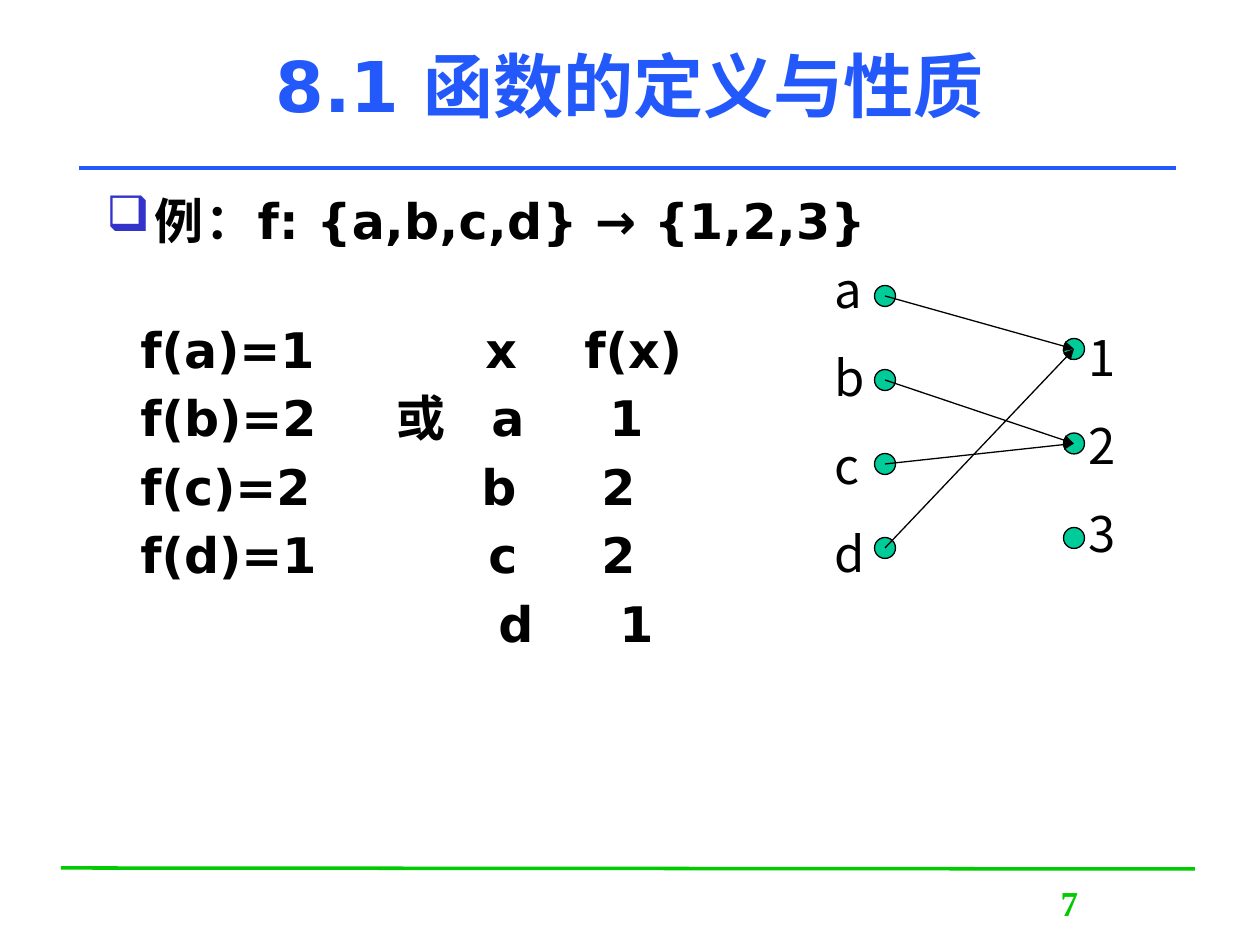
from lxml.etree import SubElement
from pptx import Presentation
from pptx.dml.color import RGBColor
from pptx.enum.shapes import MSO_CONNECTOR, MSO_SHAPE
from pptx.enum.text import MSO_ANCHOR, PP_ALIGN
from pptx.oxml.ns import qn
from pptx.util import Emu, Pt

EMU_PER_PX = 914400 / 126
COLORS = {"blue": "2359FB", "green": "00CB00", "bullet": "3333CC",
          "dot": "00CC99", "black": "000000"}

TITLE = "8.1 函数的定义与性质"
# Text and letter spacing in hundredths of a point
EXAMPLE = [("例：", 150), ("f: {a,b,c,d} → {1,2,3}", 25)]
# Each row: (text, distance from the left edge of the body text)
ROWS = [
    [("f(a)=1", 34), ("x", 379), ("f(x)", 478)],
    [("f(b)=2", 34), ("或", 290), ("a", 385), ("1", 503)],
    [("f(c)=2", 34), ("b", 375), ("2", 495)],
    [("f(d)=1", 34), ("c", 382), ("2", 495)],
    [("d", 392), ("1", 513)],
]
RULES = [("green", 61, 868, 1195, 869), ("blue", 79, 168, 1176, 168)]

# Mapping diagram: names, centre x, first centre y, pitch, label box
DOMAIN = ("abcd", 885, 296, 84, (822, 224, 50, 367))
CODOMAIN = ("123", 1074, 349, 94.5, (1076, 292, 50, 277))
ARROWS = ["a1", "d1", "b2", "c2"]
DOT = 21

BODY_FONT = dict(name="DejaVu Sans", size=Pt(28), bold=True)
TITLE_FONT = dict(name="DejaVu Sans", size=Pt(40), bold=True)
LABEL_FONT = dict(name="Noto Sans CJK SC", size=Pt(28), bold=False)
NUMBER_FONT = dict(name="Times New Roman", size=Pt(20), bold=True)


def px(n):
    return Emu(round(n * EMU_PER_PX))


def rgb(name):
    return RGBColor.from_string(COLORS[name])


def add_run(p, text, font, color="black"):
    r = p.add_run()
    r.text = text
    for key, value in font.items():
        setattr(r.font, key, value)
    r.font.color.rgb = rgb(color)
    SubElement(r.font._element, qn("a:ea"), typeface=font["name"])
    return r


def add_box(box, anchor=MSO_ANCHOR.TOP, wrap=True):
    tf = s.shapes.add_textbox(*map(px, box)).text_frame
    tf.word_wrap = wrap
    tf.vertical_anchor = anchor
    return tf


def paragraphs(tf, count):
    return [tf.paragraphs[0]] + [tf.add_paragraph() for _ in range(count - 1)]


def add_line(x1, y1, x2, y2, color, width, arrow=False):
    c = s.shapes.add_connector(MSO_CONNECTOR.STRAIGHT, *map(px, (x1, y1, x2, y2)))
    c.line.color.rgb = rgb(color)
    c.line.width = Pt(width)
    if arrow:
        SubElement(c.line._get_or_add_ln(), qn("a:tailEnd"), type="triangle")
    SubElement(c._element.spPr, qn("a:effectLst"))


def add_bullet(p, char, font, color, indent):
    pPr = p._p.get_or_add_pPr()
    pPr.set("marL", str(px(indent)))
    pPr.set("indent", str(-px(indent)))
    clr = SubElement(pPr, qn("a:buClr"))
    SubElement(clr, qn("a:srgbClr"), val=COLORS[color])
    SubElement(pPr, qn("a:buFont"), typeface=font, charset="2")
    SubElement(pPr, qn("a:buChar"), char=char)


def add_tabs(p, stops):
    tabs = SubElement(p._p.get_or_add_pPr(), qn("a:tabLst"))
    for stop in stops:
        SubElement(tabs, qn("a:tab"), pos=str(px(stop)), algn="l")


def add_dots(names, x, y, pitch, _):
    """Draw one column of dots and return the centre of each by name."""
    centres = {}
    for i, name in enumerate(names):
        cy = y + i * pitch
        dot = s.shapes.add_shape(MSO_SHAPE.OVAL, px(x - DOT / 2), px(cy - DOT / 2),
                                 px(DOT), px(DOT))
        dot.shadow.inherit = False
        dot.fill.solid()
        dot.fill.fore_color.rgb = rgb("dot")
        dot.line.color.rgb = rgb("black")
        dot.line.width = Pt(0.75)
        centres[name] = (x, cy)
    return centres


prs = Presentation()
prs.slide_width, prs.slide_height = px(1260), px(945)
s = prs.slides.add_slide(prs.slide_layouts[6])

for color, *ends in RULES:
    add_line(*ends, color, 2)

p = add_box((970, 875, 199, 63)).paragraphs[0]
p.alignment = PP_ALIGN.CENTER
add_run(p, "7", NUMBER_FONT, "green")

p = add_box((94, 5, 1071, 158), MSO_ANCHOR.MIDDLE).paragraphs[0]
p.alignment = PP_ALIGN.CENTER
add_run(p, TITLE, TITLE_FONT, "blue")

example, *lines = paragraphs(add_box((94, 184, 800, 674)), len(ROWS) + 1)
add_bullet(example, "q", "Wingdings", "bullet", 48)
for text, spacing in EXAMPLE:
    add_run(example, text, BODY_FONT).font._element.set("spc", str(spacing))
for i, (p, row) in enumerate(zip(lines, ROWS)):
    add_tabs(p, [stop for _, stop in row])
    p.space_before = Pt(5.6 if i else 40)
    add_run(p, "".join("\t" + text for text, _ in row), BODY_FONT)

centres = add_dots(*DOMAIN) | add_dots(*CODOMAIN)
for start, end in ARROWS:
    add_line(*centres[start], *centres[end], "black", 0.75, arrow=True)

for names, *_, box in (DOMAIN, CODOMAIN):
    for p, name in zip(paragraphs(add_box(box, wrap=False), len(names)), names):
        p.line_spacing = Pt(50.3)
        add_run(p, name, LABEL_FONT)

prs.save("out.pptx")
